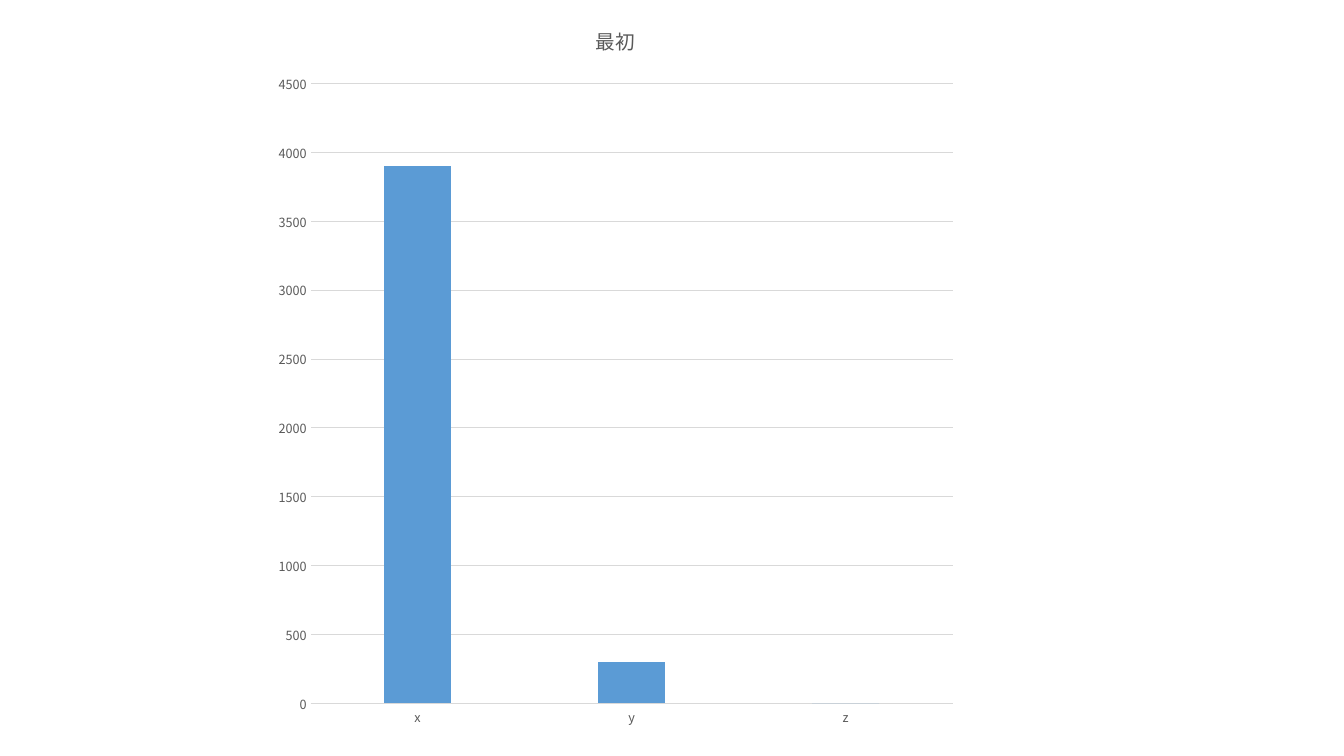
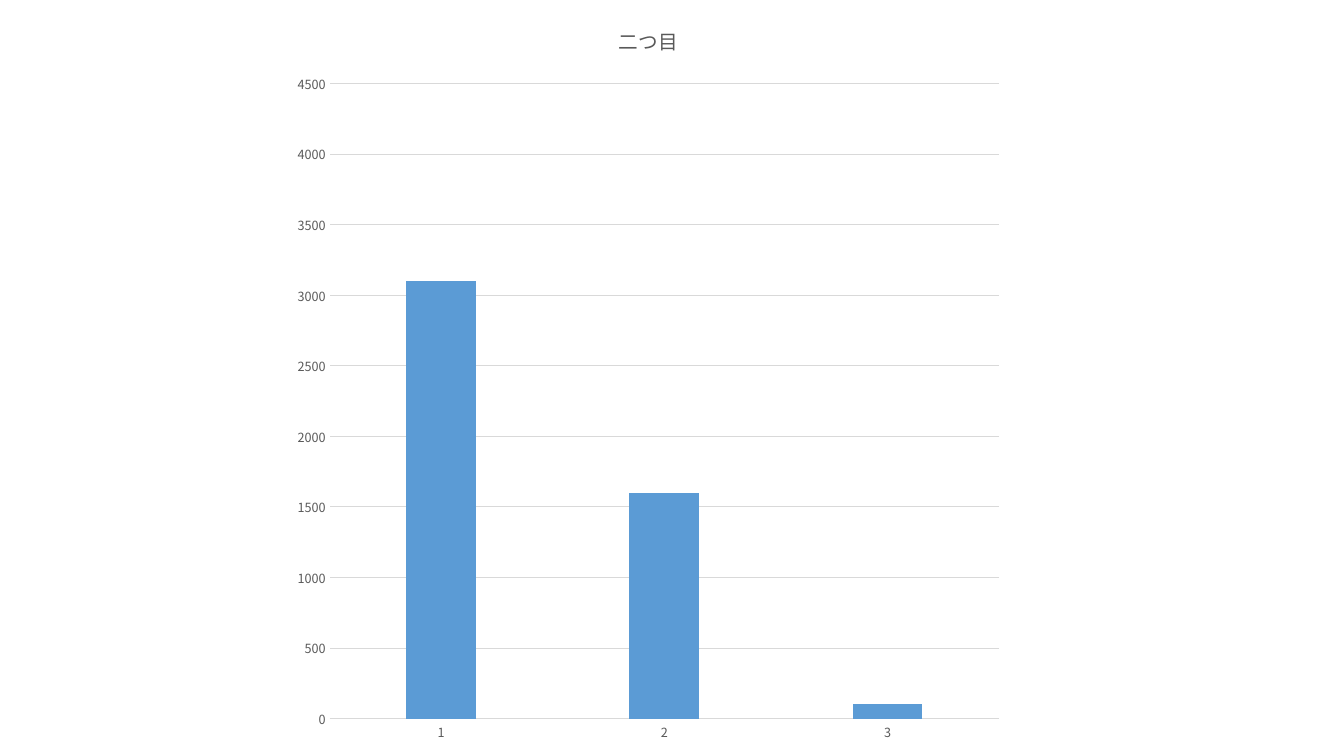
from lxml import etree
from pptx import Presentation
from pptx.chart.data import CategoryChartData
from pptx.dml.color import RGBColor
from pptx.enum.chart import XL_CHART_TYPE, XL_TICK_MARK
from pptx.oxml.ns import qn
from pptx.util import Inches, Pt

COLUMN = XL_CHART_TYPE.COLUMN_CLUSTERED
NO_TICK = XL_TICK_MARK.NONE

WHITE = RGBColor(0xFF, 0xFF, 0xFF)
BLUE = RGBColor(0x5B, 0x9B, 0xD5)
GRAY = RGBColor(0x59, 0x59, 0x59)
LIGHT_GRAY = RGBColor(0xD9, 0xD9, 0xD9)
FONT = "Noto Sans CJK JP"
TITLE_SIZE = 14
TITLE_TOP = 0.2
TITLE_INSET = 0.04
PLOT_LEFT, PLOT_TOP, PLOT_RIGHT, PLOT_BOTTOM = 0.46, 0.83, 0.14, 0.37


class ChartDeck:
    def __init__(self):
        self.presentation = Presentation()
        self.presentation.slide_width = Inches(13.33)
        self.presentation.slide_height = Inches(7.5)
        self.slide = None

    def add_slide(self):
        self.slide = self.presentation.slides.add_slide(self.presentation.slide_layouts[6])
        background = self.slide.background.fill
        background.solid()
        background.fore_color.rgb = WHITE

    def style_font(self, font, size):
        font.name = FONT
        font.size = Pt(size)
        font.bold = False
        font.color.rgb = GRAY

    def style_line(self, line):
        line.color.rgb = LIGHT_GRAY
        line.width = Pt(0.75)

    def place(self, parent, index, settings):
        for layout in parent.findall(qn("c:layout")):
            parent.remove(layout)
        layout = etree.Element(qn("c:layout"))
        manual = etree.SubElement(layout, qn("c:manualLayout"))
        for name, value in settings.items():
            etree.SubElement(manual, qn(f"c:{name}")).set("val", str(value))
        parent.insert(index, layout)

    def style_title(self, chart, title, width, height):
        chart.has_title = True
        chart.chart_title.text_frame.text = title
        run = chart.chart_title.text_frame.paragraphs[0].runs[0]
        self.style_font(run.font, TITLE_SIZE)
        latin = run.font._element.find(qn("a:latin"))
        east_asian = etree.Element(qn("a:ea"), typeface=FONT)
        latin.addnext(east_asian)
        left = (width - len(title) * TITLE_SIZE / 72) / 2 - TITLE_INSET
        self.place(chart.chart_title.element, 1, {
            "xMode": "edge", "yMode": "edge",
            "x": left / width, "y": TITLE_TOP / height})

    def style_axes(self, chart):
        for axis in (chart.category_axis, chart.value_axis):
            axis.major_tick_mark = NO_TICK
            axis.minor_tick_mark = NO_TICK
            self.style_font(axis.tick_labels.font, 9)
        self.style_line(chart.category_axis.format.line)
        value_axis = chart.value_axis
        value_axis.minimum_scale = 0
        value_axis.maximum_scale = 4500
        value_axis.major_unit = 500
        value_axis.format.line.fill.background()
        self.style_line(value_axis.major_gridlines.format.line)

    def add_column_chart(self, title, categories, values, left, width, height):
        data = CategoryChartData()
        data.categories = categories
        data.add_series("Series 1", values)
        chart = self.slide.shapes.add_chart(
            COLUMN, Inches(left), Inches(0), Inches(width), Inches(height), data).chart
        chart.has_legend = False
        chart.font.name = FONT
        chart.font.size = Pt(10)
        self.style_title(chart, title, width, height)
        self.style_axes(chart)
        plot = chart.plots[0]
        plot.gap_width = 219
        plot.overlap = -27
        plot.vary_by_categories = False
        fill = plot.series[0].format.fill
        fill.solid()
        fill.fore_color.rgb = BLUE
        self.place(chart.element.find(".//" + qn("c:plotArea")), 0, {
            "layoutTarget": "inner", "xMode": "edge", "yMode": "edge",
            "x": PLOT_LEFT / width, "y": PLOT_TOP / height,
            "w": (width - PLOT_LEFT - PLOT_RIGHT) / width,
            "h": (height - PLOT_TOP - PLOT_BOTTOM) / height})


deck = ChartDeck()
deck.add_slide()
deck.add_column_chart("最初", ["x", "y", "z"], [3900, 300, 0], 2.62, 6.97, 7.35)
deck.add_slide()
deck.add_column_chart("二つ目", ["1", "2", "3"], [3100, 1600, 100], 2.81, 7.24, 7.5)
deck.presentation.save("out.pptx")
